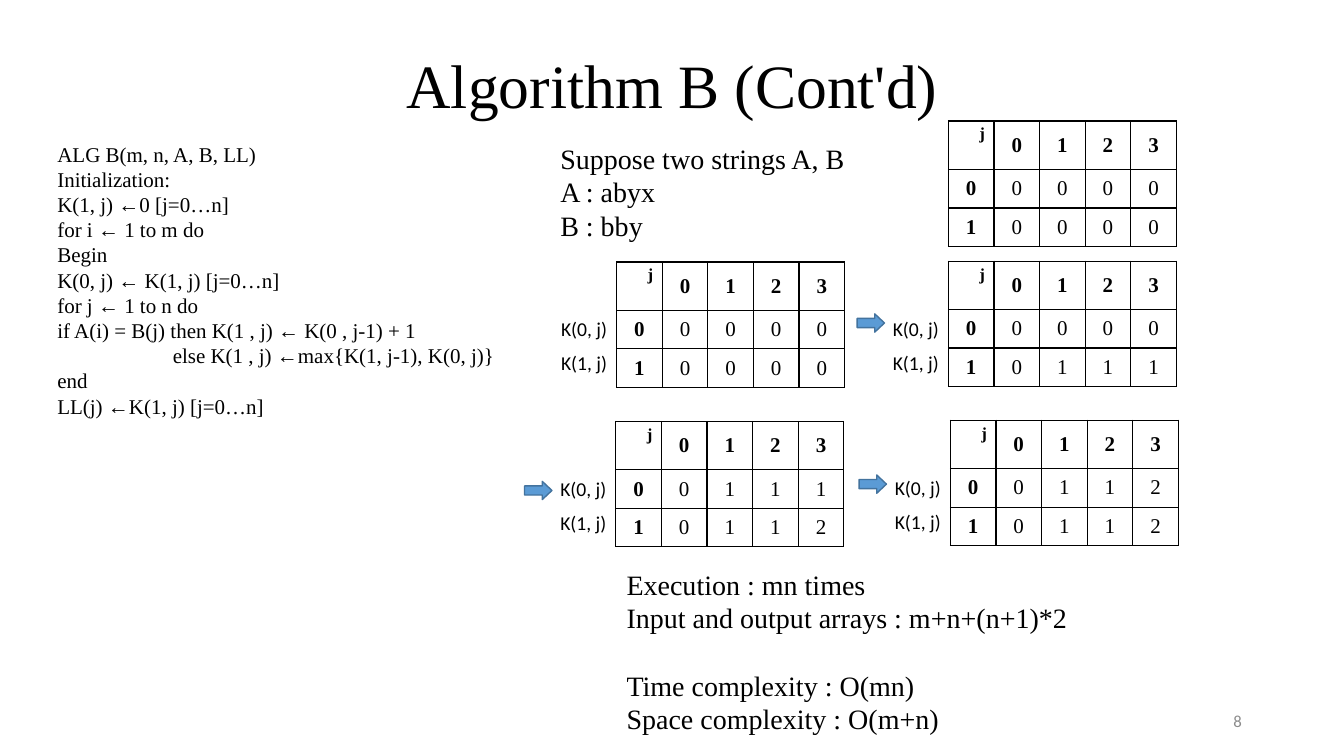
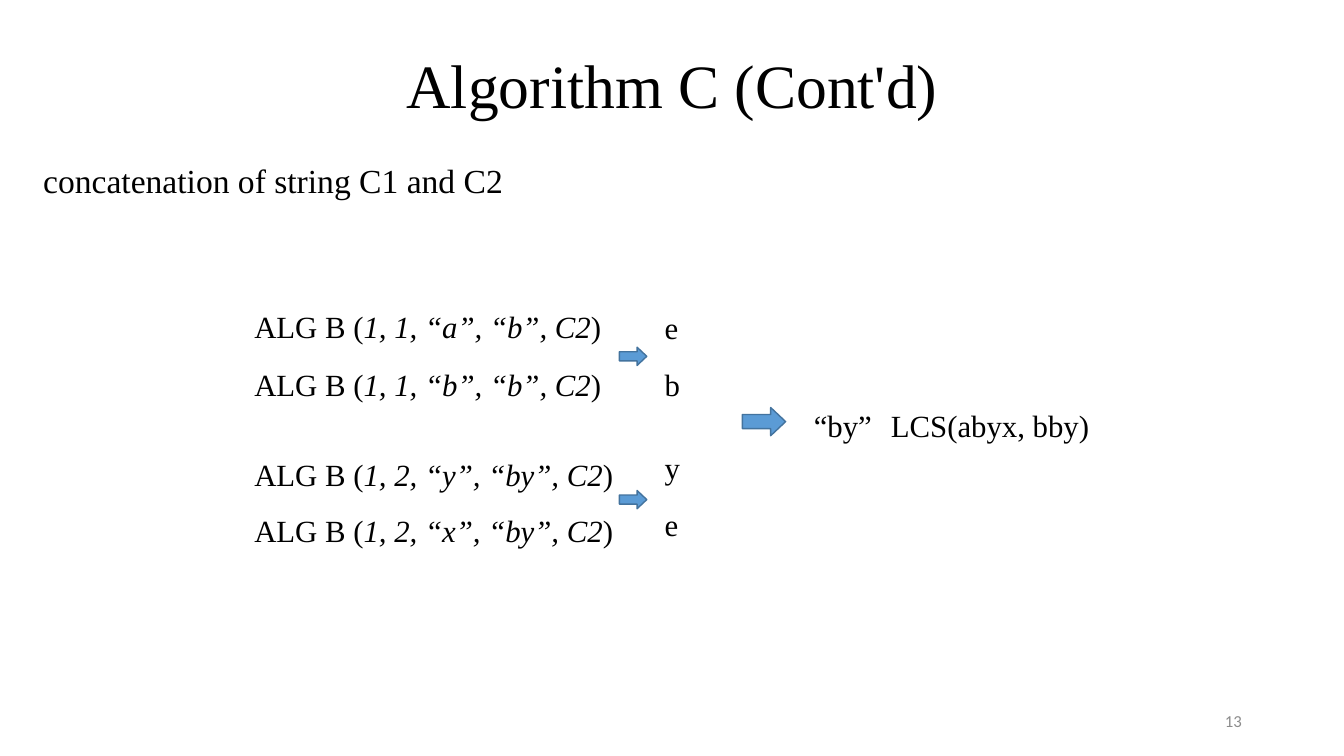
from lxml import etree
from pptx import Presentation
from pptx.dml.color import RGBColor
from pptx.enum.shapes import MSO_SHAPE
from pptx.enum.text import MSO_ANCHOR, MSO_AUTO_SIZE, PP_ALIGN
from pptx.oxml.ns import qn
from pptx.util import Cm, Pt

ARROW = MSO_SHAPE.RIGHT_ARROW
TOP, MIDDLE = MSO_ANCHOR.TOP, MSO_ANCHOR.MIDDLE
LEFT, CENTER, RIGHT = PP_ALIGN.LEFT, PP_ALIGN.CENTER, PP_ALIGN.RIGHT
NO_FIT = MSO_AUTO_SIZE.NONE

COLORS = {"text": "000000", "paper": "FFFFFF", "arrow": "5B9BD5",
          "arrow_edge": "43739E", "number": "8C8C8C"}
SERIF, SANS = "Times New Roman", "Calibri"
STYLES = {
    "title": {"size": Pt(44), "name": SERIF},
    "code": {"size": Pt(15), "name": SERIF},
    "note": {"size": Pt(20), "name": SERIF},
    "heading": {"size": Pt(24), "name": SERIF},
    "call": {"size": Pt(22), "name": SERIF},
    "call_italic": {"size": Pt(22), "name": SERIF, "italic": True},
    "label": {"size": Pt(14), "name": SANS},
    "number": {"size": Pt(12), "name": SANS},
    "corner": {"size": Pt(12), "name": SERIF, "bold": True},
    "head": {"size": Pt(15), "name": SERIF, "bold": True},
    "cell": {"size": Pt(15), "name": SERIF, "bold": False},
}
CELL_INSETS = {"margin_left": Cm(0.23), "margin_right": Cm(0.23),
               "margin_top": Cm(0.1), "margin_bottom": Cm(0.1)}

CODE_LINES = [
    "ALG B(m, n, A, B, LL)",
    "Initialization:",
    "K(1, j) ←0 [j=0…n]",
    "for i ← 1 to m do",
    "Begin",
    "K(0, j) ← K(1, j) [j=0…n]",
    "for j ← 1 to n do",
    "if A(i) = B(j) then K(1 , j) ← K(0 , j-1) + 1",
    "else K(1 , j) ←max{K(1, j-1), K(0, j)}",
    "end",
    "LL(j) ←K(1, j) [j=0…n]",
]
COLUMN_WIDTH = 1.15
ROW_HEIGHTS = [1.22, 0.97, 0.97]
STAGES = [
    (23.9, 3.05, ["0000", "0000"], False, None),
    (15.54, 6.6, ["0000", "0000"], True, None),
    (23.9, 6.58, ["0000", "0111"], True, 1.33),
    (15.52, 10.62, ["0111", "0112"], True, 1.51),
    (23.95, 10.59, ["0112", "0112"], True, 1.38),
]
CALLS = [
    (7.62, "1, 1, “a”, “b”, C2", 7.65, "e"),
    (9.09, "1, 1, “b”, “b”, C2", 9.09, "b"),
    (11.35, "1, 2, “y”, “by”, C2", 11.18, "y"),
    (12.78, "1, 2, “x”, “by”, C2", 12.62, "e"),
]


def rgb(key):
    return RGBColor.from_string(COLORS[key])


def set_all(target, values):
    for name, value in values.items():
        setattr(target, name, value)


def add_span(para, text, style, color="text"):
    span = para.add_run()
    span.text = text
    set_all(span.font, STYLES[style])
    span.font.color.rgb = rgb(color)


def place(box, left, top, width, height):
    set_all(box, {"left": Cm(left), "top": Cm(top),
                  "width": Cm(width), "height": Cm(height)})


def write_lines(frame, lines, style, align=LEFT, color="text"):
    for index, line in enumerate(lines):
        para = frame.add_paragraph() if index else frame.paragraphs[0]
        para.alignment = align
        add_span(para, line, style, color)


def add_text(page, area, lines, style, align=LEFT, anchor=TOP, color="text"):
    box = page.shapes.add_textbox(*map(Cm, area))
    frame = box.text_frame
    set_all(frame, {"word_wrap": True, "vertical_anchor": anchor})
    write_lines(frame, lines, style, align, color)
    return frame


def add_arrow(page, left, top, width=0.69, height=0.46):
    arrow = page.shapes.add_shape(ARROW, Cm(left), Cm(top), Cm(width), Cm(height))
    arrow.adjustments[0] = 0.5
    arrow.adjustments[1] = 0.53
    arrow.shadow.inherit = False
    arrow.fill.solid()
    arrow.fill.fore_color.rgb = rgb("arrow")
    arrow.line.color.rgb = rgb("arrow_edge")
    arrow.line.width = Pt(1)


def add_page(deck, layout, title, number):
    page = deck.slides.add_slide(deck.slide_layouts.get_by_name(layout))
    box = page.shapes.title
    place(box, 2.34, 1.02, 29.21, 2.41)
    set_all(box.text_frame, {"vertical_anchor": MIDDLE, "auto_size": NO_FIT})
    write_lines(box.text_frame, [title], "title", CENTER)
    box.text_frame.paragraphs[0].line_spacing = 0.9
    add_text(page, (23.93, 17.65, 7.62, 1.02), [number], "number",
             RIGHT, MIDDLE, "number")
    return page


def fill_code(box, left, top, width, height):
    place(box, left, top, width, height)
    frame = box.text_frame
    set_all(frame, {"auto_size": NO_FIT, "vertical_anchor": TOP})
    write_lines(frame, CODE_LINES, "code")
    for para in frame.paragraphs:
        margin = Cm(2.91) if para.text.startswith("else") else 0
        props = para._p.get_or_add_pPr()
        props.set("marL", str(margin))
        props.set("indent", "0")
        etree.SubElement(props, qn("a:buNone"))
        set_all(para, {"space_before": Pt(0), "space_after": Pt(0)})


def add_borders(cell):
    props = cell._tc.get_or_add_tcPr()
    for index, side in enumerate(("lnL", "lnR", "lnT", "lnB")):
        edge = etree.Element(qn("a:" + side), w=str(Pt(1)))
        fill = etree.SubElement(edge, qn("a:solidFill"))
        etree.SubElement(fill, qn("a:srgbClr"), val=COLORS["text"])
        props.insert(index, edge)


def format_cell(cell, text, row, column):
    corner = row == 0 and column == 0
    if corner:
        style = "corner"
    else:
        style = "head" if row == 0 or column == 0 else "cell"
    set_all(cell, CELL_INSETS)
    cell.vertical_anchor = TOP if corner else MIDDLE
    cell.fill.solid()
    cell.fill.fore_color.rgb = rgb("paper")
    write_lines(cell.text_frame, [text], style, RIGHT if corner else CENTER)
    add_borders(cell)


def add_stage(page, left, top, values, labelled, arrow_drop):
    grid = ["j0123"] + [f"{index}{row}" for index, row in enumerate(values)]
    columns = len(grid[0])
    table = page.shapes.add_table(
        len(grid), columns, Cm(left), Cm(top),
        Cm(COLUMN_WIDTH * columns), Cm(sum(ROW_HEIGHTS))).table
    set_all(table, {"first_row": False, "horz_banding": False})
    for column in table.columns:
        column.width = Cm(COLUMN_WIDTH)
    for row, texts in enumerate(grid):
        table.rows[row].height = Cm(ROW_HEIGHTS[row])
        for column, text in enumerate(texts):
            format_cell(table.cell(row, column), text, row, column)
    if labelled:
        for index in range(len(values)):
            add_text(page, (left - 1.65, top + 1.27 + 0.86 * index, 1.9, 0.86),
                     [f"K({index}, j)"], "label")
    if arrow_drop is not None:
        add_arrow(page, left - 2.3, top + arrow_drop)


def build_algorithm_b(deck):
    page = add_page(deck, "Title and Content", "Algorithm B (Cont'd)", "8")
    fill_code(page.placeholders[1], 1.19, 3.43, 11.9, 7.75)
    add_text(page, (13.87, 3.43, 9.5, 2.77),
             ["Suppose two strings A, B", "A : abyx", "B : bby"], "note")
    for stage in STAGES:
        add_stage(page, *stage)
    costs = add_text(page, (15.54, 14.17, 15.47, 4.34), [
        "Execution : mn times",
        "Input and output arrays : m+n+(n+1)*2",
        "Time complexity : O(mn)",
        "Space complexity : O(m+n)"], "note")
    costs.paragraphs[2].space_before = Pt(24)


def add_call(page, left, top, arguments, result_top, result):
    frame = add_text(page, (left, top, 10.2, 1.19), ["ALG B ("], "call")
    add_span(frame.paragraphs[0], arguments, "call_italic")
    add_span(frame.paragraphs[0], ")", "call")
    add_text(page, (left + 10.34, result_top, 2, 1.19), [result], "call")


def build_algorithm_c(deck):
    page = add_page(deck, "Title Only", "Algorithm C (Cont'd)", "13")
    add_text(page, (0.84, 3.91, 14, 1.27),
             ["concatenation of string C1 and C2"], "heading")
    for call in CALLS:
        add_call(page, 6.16, *call)
    for top in (8.75, 12.36):
        add_arrow(page, 15.61, top)
    add_arrow(page, 18.71, 10.27, 1.09, 0.71)
    add_text(page, (20.14, 10.13, 2.2, 1.19), ["“by”"], "call Italic".split()[0], CENTER)
    add_text(page, (21.95, 10.13, 6, 1.19), ["LCS(abyx, bby)"], "call", CENTER)


def main():
    deck = Presentation()
    set_all(deck, {"slide_width": Cm(33.87), "slide_height": Cm(19.05)})
    build_algorithm_b(deck)
    build_algorithm_c(deck)
    deck.save("out.pptx")


if __name__ == "__main__":
    main()
